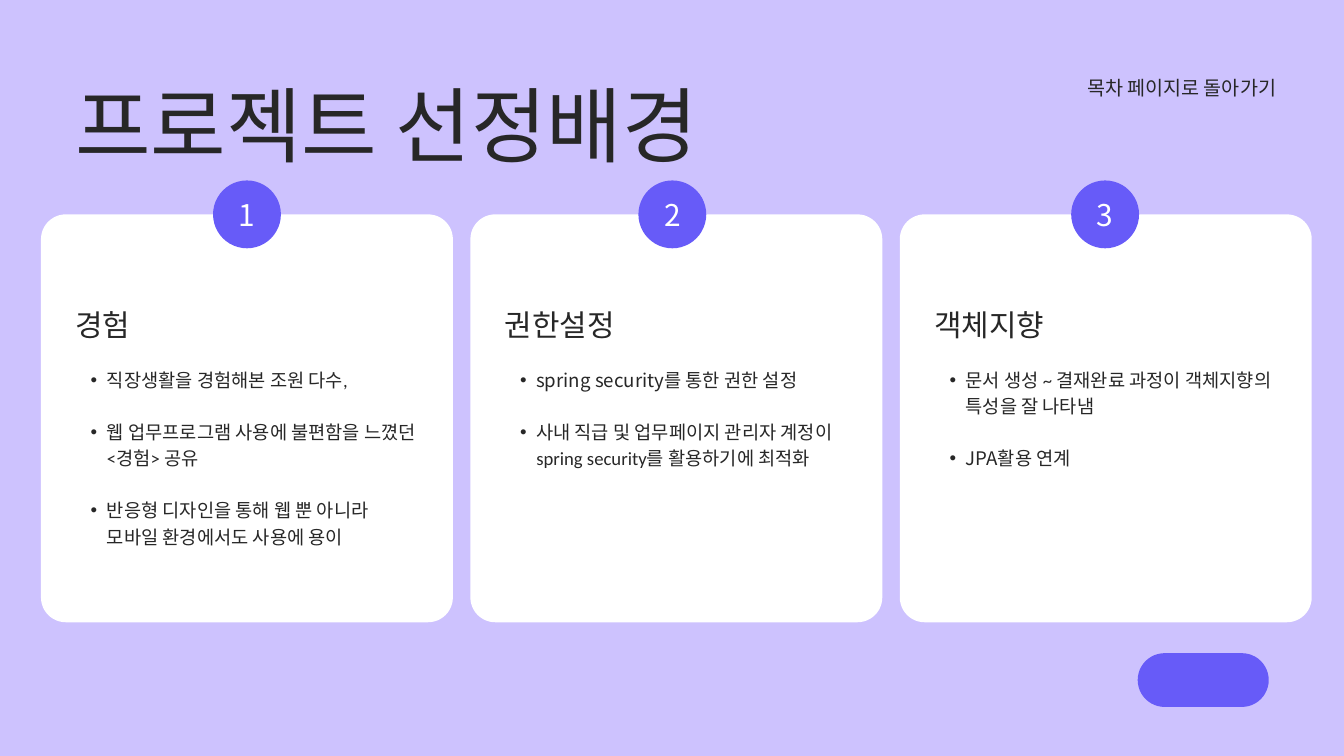
from lxml.etree import SubElement
from pptx import Presentation
from pptx.dml.color import RGBColor
from pptx.enum.shapes import MSO_SHAPE
from pptx.enum.text import MSO_ANCHOR, MSO_AUTO_SIZE, PP_ALIGN
from pptx.oxml.ns import qn
from pptx.util import Inches, Pt

THEME = {
    "back": "CDC2FE", "card": "FFFFFF", "accent": "675BF8",
    "ink": "272727", "light": "FFFFFF",
    "main": "Calibri", "alt": "Noto Sans CJK KR",
    "title": 88, "head": 32, "link": 21, "body": 20,
}

# Content: each text is a list of (words, font key) runs
TITLE = [("프로젝트 선정배경", "main")]
LINK = [("목차", "main"), (" 페이지로 돌아가기", "alt")]
CARDS = [
    {"badge": 3.17, "head": "경험", "items": [
        [("직장생활을 경험해본 조원 다수,", "main")],
        [("웹 업무프로그램 사용에 불편함을 느꼈던<경험> 공유", "main")],
        [("반응형 디자인을 통해 웹 뿐 아니라\v모바일 환경에서도 사용에 용이", "main")],
    ]},
    {"badge": 9.5, "head": "권한설정", "items": [
        [("spring security를 통한 ", "alt"), ("권한 설정", "main")],
        [("사내 직급 및 업무페이지 관리자 계정이 spring security를 활용하기에 최적화", "main")],
    ]},
    {"badge": 15.94, "head": "객체지향", "items": [
        [("문서 생성 ~ 결재완료 과정이 객체지향의 특성을 잘 나타냄", "main")],
        [("JPA활용 연계", "alt")],
    ]},
]

# Layout in inches
LEFT, TOP, WIDE, HIGH, STEP = 0.61, 3.19, 6.13, 6.07, 6.39
PAD, ROUND, DOT = 0.51, 0.37, 1.01


def color(key):
    return RGBColor.from_string(THEME[key])


def place(shape, box):
    for name, size in zip(("left", "top", "width", "height"), box):
        setattr(shape, name, Inches(size))


def block(slide, kind, box, fill, corner=None):
    shape = slide.shapes.add_shape(kind, *map(Inches, box))
    if corner is not None:
        shape.adjustments[0] = corner
    shape.shadow.inherit = False
    shape.fill.solid()
    shape.fill.fore_color.rgb = color(fill)
    shape.line.fill.background()
    return shape


def bullet(par):
    props = par._p.get_or_add_pPr()
    props.set("marL", str(Inches(0.47)))
    props.set("indent", str(Inches(-0.24)))
    SubElement(props, qn("a:buFont"), typeface="Arial")
    SubElement(props, qn("a:buChar"), char="•")


def write(shape, pars, size, lead, tone="ink", align=PP_ALIGN.LEFT,
          anchor=MSO_ANCHOR.TOP, marked=False):
    frame = shape.text_frame
    form = {"word_wrap": True, "auto_size": MSO_AUTO_SIZE.NONE,
            "vertical_anchor": anchor, "margin_left": 0, "margin_top": 0,
            "margin_right": 0, "margin_bottom": 0}
    for name, value in form.items():
        setattr(frame, name, value)
    for num, runs in enumerate(pars):
        par = frame.add_paragraph() if num else frame.paragraphs[0]
        if marked:
            bullet(par)
        gap = Pt(lead if num else 0)
        form = {"alignment": align, "line_spacing": Pt(lead),
                "space_before": gap, "space_after": Pt(0)}
        for name, value in form.items():
            setattr(par, name, value)
        for words, face in runs:
            for part, line in enumerate(words.split("\v")):
                if part:
                    par.add_line_break()
                run = par.add_run()
                run.text = line
                form = {"name": THEME[face], "size": Pt(THEME[size]), "bold": False}
                for name, value in form.items():
                    setattr(run.font, name, value)
                run.font.color.rgb = color(tone)


def label(slide, box, *args, **form):
    write(slide.shapes.add_textbox(*map(Inches, box)), *args, **form)


def main():
    deck = Presentation()
    deck.slide_width, deck.slide_height = Inches(20), Inches(11.25)
    slide = deck.slides.add_slide(deck.slide_layouts[5])
    slide.background.fill.solid()
    slide.background.fill.fore_color.rgb = color("back")

    # Title and link back to the contents
    title = slide.shapes.title
    place(title, (1.12, 1.11, 11.67, 1.47))
    write(title, [TITLE], "title", 105.6)
    label(slide, (15.56, 1.07, 3.43, 0.4), [LINK], "link", 29.4,
          align=PP_ALIGN.RIGHT)

    # Cards with numbered badges
    for num, card in enumerate(CARDS):
        left = LEFT + num * STEP
        block(slide, MSO_SHAPE.ROUNDED_RECTANGLE, (left, TOP, WIDE, HIGH),
              "card", ROUND / HIGH)
        badge = block(slide, MSO_SHAPE.OVAL,
                      (card["badge"], TOP - DOT / 2, DOT, DOT), "accent")
        write(badge, [[(str(num + 1), "alt")]], "head", 38.4, "light",
              PP_ALIGN.CENTER, MSO_ANCHOR.MIDDLE)
        label(slide, (left + PAD, 4.56, 5.09, 0.54),
              [[(card["head"], "main")]], "head", 38.4)
        label(slide, (left + PAD, 5.43, 5.09, 2.8),
              card["items"], "body", 28, marked=True)

    # Button
    block(slide, MSO_SHAPE.ROUNDED_RECTANGLE, (16.93, 9.72, 1.95, 0.8),
          "accent", 0.5)

    deck.save("out.pptx")


if __name__ == "__main__":
    main()
